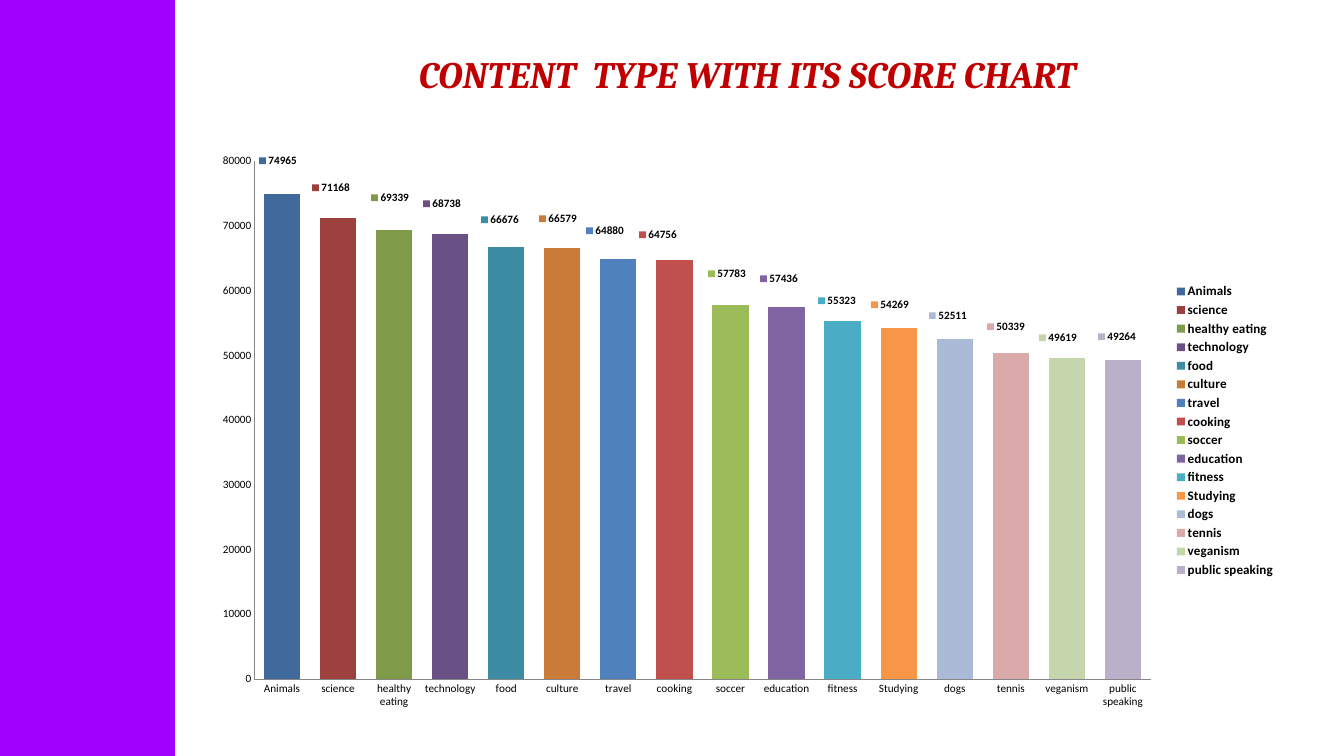
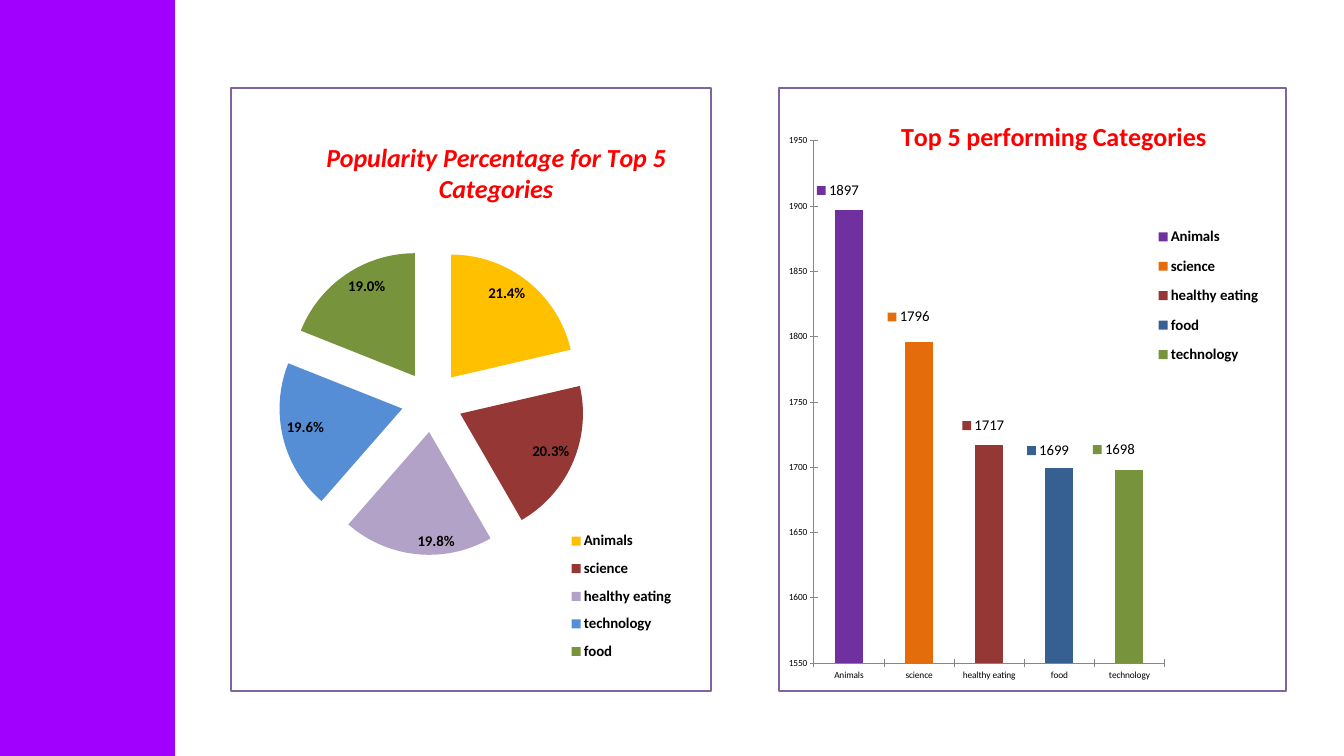
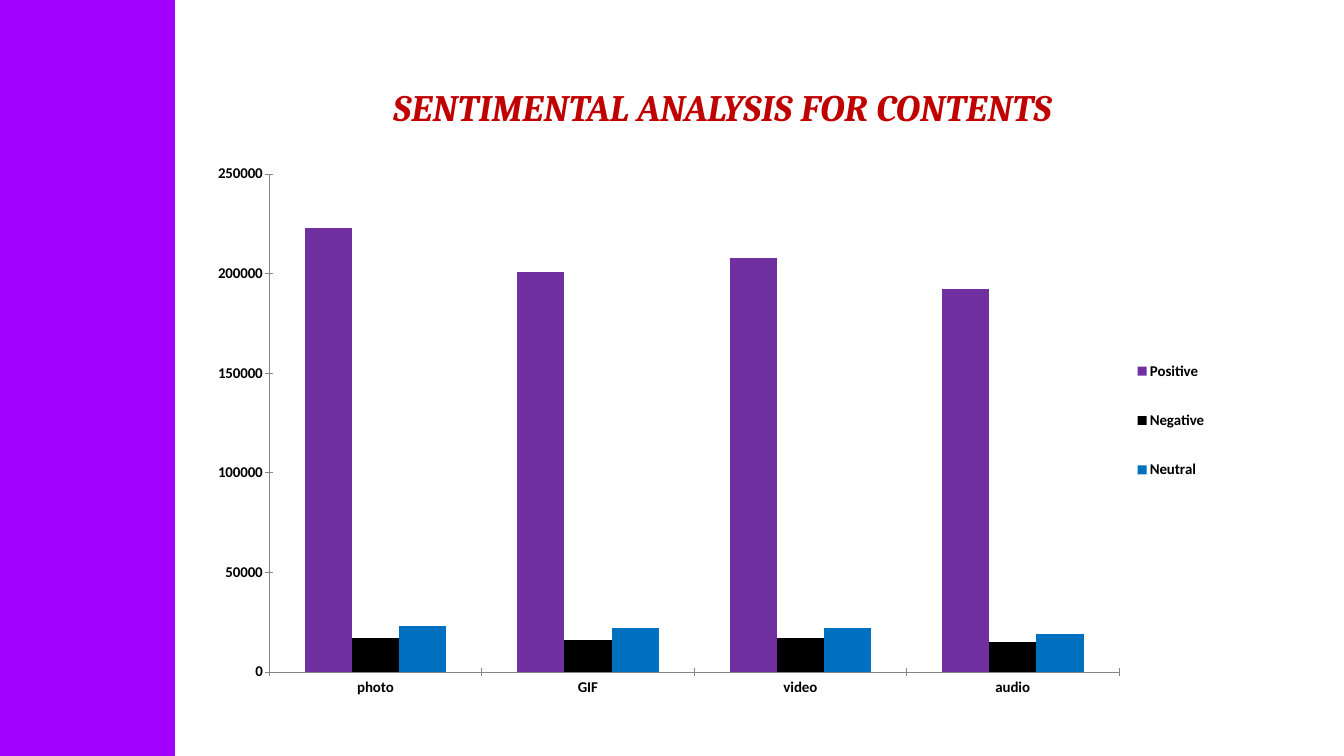
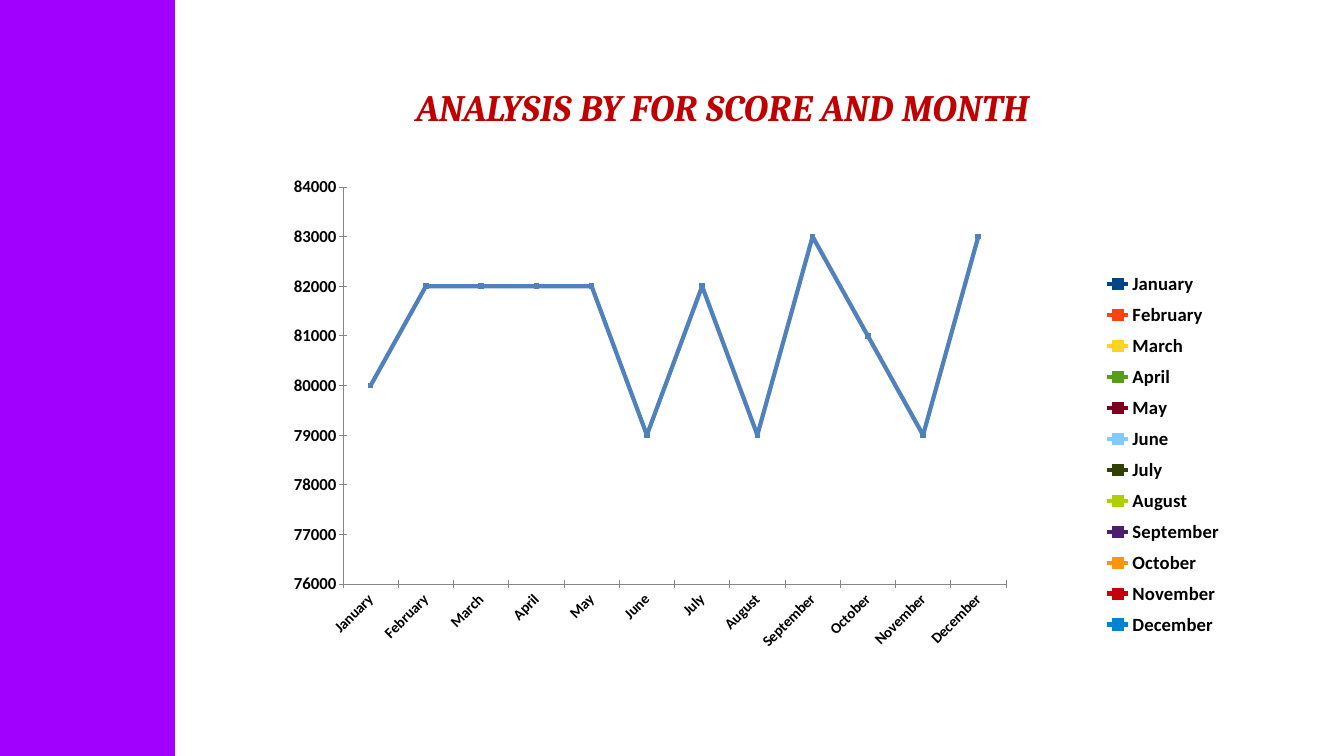
from dataclasses import dataclass

from lxml.etree import SubElement
from pptx import Presentation
from pptx.chart.data import CategoryChartData
from pptx.dml.color import RGBColor
from pptx.enum.chart import (XL_CHART_TYPE, XL_LABEL_POSITION, XL_LEGEND_POSITION,
                             XL_MARKER_STYLE, XL_TICK_MARK)
from pptx.enum.shapes import MSO_SHAPE
from pptx.enum.text import MSO_AUTO_SIZE, PP_ALIGN
from pptx.oxml.ns import qn
from pptx.util import Emu, Pt


@dataclass(frozen=True)
class Theme:
    """Colours, fonts and sizes shared by every slide."""
    band: str = "A100FF"
    heading: str = "C00000"
    chart_title: str = "FF0000"
    text: str = "000000"
    paper: str = "FFFFFF"
    border: str = "8064A2"
    axis: str = "868686"
    heading_font: str = "Cambria"
    chart_font: str = "Calibri"
    heading_size: int = 40
    chart_title_size: int = 28
    border_width: int = 2
    trend_width: float = 4.5


THEME = Theme()
EMU_PER_PX = 914400 / 67.2
SLIDE_SIZE = (1344, 756)
BAND = (0, 0, 175, 756)
UPPER_HEADING = (263, 48, 969, 52)
LOWER_HEADING = (269, 81, 907, 52)

SCORES = [
    ("Animals", 74965, "416A9C", (278, 161)),
    ("science", 71168, "9E413E", (331, 188)),
    ("healthy eating", 69339, "7F9A48", (390, 198)),
    ("technology", 68738, "695185", (442, 204)),
    ("food", 66676, "3C8DA3", (500, 220)),
    ("culture", 66579, "CB7B38", (558, 219)),
    ("travel", 64880, "4F81BD", (605, 231)),
    ("cooking", 64756, "C0504D", (658, 235)),
    ("soccer", 57783, "9BBB59", (727, 274)),
    ("education", 57436, "8064A2", (779, 279)),
    ("fitness", 55323, "4BACC6", (837, 301)),
    ("Studying", 54269, "F79646", (890, 305)),
    ("dogs", 52511, "AABAD7", (948, 316)),
    ("tennis", 50339, "D9AAA9", (1006, 327)),
    ("veganism", 49619, "C6D6AC", (1058, 338)),
    ("public speaking", 49264, "BAB0C9", (1117, 337)),
]
SHARES = [
    ("Animals", 21.4, "FFC000"),
    ("science", 20.3, "953735"),
    ("healthy eating", 19.8, "B3A2C7"),
    ("technology", 19.6, "558ED5"),
    ("food", 19, "77933C"),
]
TOP_FIVE = [
    ("Animals", 1897, "7030A0", (837, 191)),
    ("science", 1796, "E46C0A", (908, 318)),
    ("healthy eating", 1717, "953735", (983, 427)),
    ("food", 1699, "376092", (1048, 452)),
    ("technology", 1698, "77933C", (1114, 451)),
]
FORMATS = ["photo", "GIF", "video", "audio"]
SENTIMENTS = [
    ("Positive", [223000, 201000, 208000, 192000], "7030A0"),
    ("Negative", [17000, 16000, 17000, 15000], "000000"),
    ("Neutral", [23000, 22000, 22000, 19000], "0070C0"),
]
MONTHS = [
    ("January", 80000), ("February", 82000), ("March", 82000), ("April", 82000),
    ("May", 82000), ("June", 79000), ("July", 82000), ("August", 79000),
    ("September", 83000), ("October", 81000), ("November", 79000), ("December", 83000),
]
TREND_COLOUR = "4F81BD"


def px(length):
    """Turn a length in px into EMU."""
    return Emu(round(length * EMU_PER_PX))


def rgb(colour):
    """Turn a hex string into a colour."""
    return RGBColor.from_string(colour)


def style(font, size, bold=None, italic=None, colour=THEME.text, name=THEME.chart_font):
    """Set every property of a font."""
    font.size, font.bold, font.italic, font.name = Pt(size), bold, italic, name
    font.color.rgb = rgb(colour)


def paint(part, colour):
    """Fill a part of a chart or a shape."""
    part.fill.solid()
    part.fill.fore_color.rgb = rgb(colour)


def add_slide(deck, heading=None, box=LOWER_HEADING):
    """Add a slide with the side band and an optional heading."""
    slide = deck.slides.add_slide(deck.slide_layouts[6])
    band = slide.shapes.add_shape(MSO_SHAPE.RECTANGLE, *map(px, BAND))
    band.shadow.inherit = False
    paint(band, THEME.band)
    band.line.fill.background()
    if heading:
        frame = slide.shapes.add_textbox(*map(px, box)).text_frame
        frame.word_wrap = True
        frame.auto_size = MSO_AUTO_SIZE.SHAPE_TO_FIT_TEXT
        paragraph = frame.paragraphs[0]
        paragraph.alignment = PP_ALIGN.CENTER
        run = paragraph.add_run()
        run.text = heading
        style(run.font, THEME.heading_size, True, True, THEME.heading, THEME.heading_font)
    return slide


def set_layout(element, index, settings):
    """Give a chart element a manual layout."""
    for stale in element.findall(qn("c:layout")):
        element.remove(stale)
    layout = element.makeelement(qn("c:layout"))
    element.insert(index, layout)
    manual = SubElement(layout, qn("c:manualLayout"))
    for tag, value in settings.items():
        SubElement(manual, qn(f"c:{tag}")).set("val", str(value))


def place(element, index, box, area, inner=False):
    """Place a chart element at a box in px on the slide."""
    left, top, width, height = area
    settings = {"layoutTarget": "inner"} if inner else {}
    settings |= {"xMode": "edge", "yMode": "edge",
                 "x": round((box[0] - left) / width, 4),
                 "y": round((box[1] - top) / height, 4)}
    if len(box) == 4:
        settings |= {"w": round(box[2] / width, 4), "h": round(box[3] / height, 4)}
    set_layout(element, index, settings)


def frame_chart(chart, fill, border):
    """Set the background and border of the chart area."""
    space = chart._chartSpace
    properties = space.makeelement(qn("c:spPr"))
    space.find(qn("c:chart")).addnext(properties)

    def add_colour(parent, colour):
        """Add a solid fill, or none."""
        if colour:
            solid = SubElement(parent, qn("a:solidFill"))
            SubElement(solid, qn("a:srgbClr")).set("val", colour)
        else:
            SubElement(parent, qn("a:noFill"))

    add_colour(properties, fill)
    line = SubElement(properties, qn("a:ln"))
    line.set("w", str(Pt(THEME.border_width)))
    add_colour(line, border)


def add_chart(slide, kind, area, plot_box, legend_box, categories, series, size,
              legend_size, bold=None, vary=True, fill=None, border=None):
    """Add a chart with its font, legend, plot area and background."""
    data = CategoryChartData()
    data.categories = categories
    for name, values in series:
        data.add_series(name, values)
    chart = slide.shapes.add_chart(kind, *map(px, area), data).chart
    chart.has_title = False
    style(chart.font, size, bold)
    chart.has_legend = True
    chart.legend.position = XL_LEGEND_POSITION.RIGHT
    chart.legend.include_in_layout = False
    style(chart.legend.font, legend_size, True)
    place(chart.legend._element, 1, legend_box, area)
    place(chart._chartSpace.chart.plotArea, 0, plot_box, area, inner=True)
    chart.plots[0].vary_by_categories = vary
    frame_chart(chart, fill, border)
    return chart


def add_title(chart, title, corner, area, italic=None):
    """Add a chart title with its top left corner at a point."""
    chart.has_title = True
    run = chart.chart_title.text_frame.paragraphs[0].add_run()
    run.text = title
    style(run.font, THEME.chart_title_size, True, italic, THEME.chart_title)
    place(chart.chart_title._element, 1, corner, area)


def style_axes(chart, scale, tick, category_size, value_size, bold=None):
    """Set scale, ticks, lines and fonts of both axes."""
    values = chart.value_axis
    values.minimum_scale, values.maximum_scale, values.major_unit = scale
    values.has_major_gridlines = False
    for axis, size in ((chart.category_axis, category_size), (values, value_size)):
        axis.major_tick_mark = tick
        axis.minor_tick_mark = XL_TICK_MARK.NONE
        axis.format.line.color.rgb = rgb(THEME.axis)
        style(axis.tick_labels.font, size, bold)


def paint_points(series, colours):
    """Colour each point of a series."""
    for index, colour in enumerate(colours):
        paint(series.points[index].format, colour)


def add_ranking(slide, rows, area, plot_box, legend_box, scale, tick, gap, size,
                legend_size, label_size, label_bold=None, **background):
    """Add a one-series column chart with keyed labels set above the bars."""
    categories, values, colours, centres = zip(*rows)
    chart = add_chart(slide, XL_CHART_TYPE.COLUMN_STACKED, area, plot_box, legend_box,
                      categories, [("Series 1", values)], size, legend_size, **background)
    style_axes(chart, scale, tick, size, size)
    plot = chart.plots[0]
    plot.gap_width, plot.overlap = gap, 100
    ranking = plot.series[0]
    paint_points(ranking, colours)
    for index in range(len(rows)):
        label = ranking.points[index].data_label
        style(label.font, label_size, label_bold)
        label.position = XL_LABEL_POSITION.INSIDE_END

    left, top, width, height = plot_box
    low, high, _ = scale
    for index, label in enumerate(ranking._element.iter(qn("c:dLbl"))):
        bar_middle = left + width * (index + 0.5) / len(rows)
        bar_top = top + height * (high - values[index]) / (high - low)
        x, y = centres[index]
        set_layout(label, 1, {"x": round((x - bar_middle) / area[2], 4),
                              "y": round((y - bar_top - label_size * 0.8) / area[3], 4)})
    for key in ranking._element.iter(qn("c:showLegendKey")):
        key.set("val", "1")
    for leader in ranking._element.iter(qn("c:showLeaderLines")):
        leader.set("val", "0")
    return chart


def build_scores(deck):
    """Build the slide of scores by content type."""
    slide = add_slide(deck, "CONTENT  TYPE WITH ITS SCORE CHART", UPPER_HEADING)
    add_ranking(slide, SCORES, (202, 142, 1081, 577), (254, 161, 897, 518),
                (1170, 281, 110, 300), (0, 80000, 10000), XL_TICK_MARK.NONE,
                gap=55, size=12, legend_size=14, label_size=12, label_bold=True)


def build_top_five(deck):
    """Build the slide of the five leading categories."""
    slide = add_slide(deck)
    background = {"fill": THEME.paper, "border": THEME.border}
    share_area, top_area = (230, 87, 482, 605), (778, 87, 509, 605)
    categories, values, colours = zip(*SHARES)
    shares = add_chart(slide, XL_CHART_TYPE.PIE, share_area, (278, 226, 308, 351),
                       (565, 523, 114, 148), categories, [("Series 1", values)],
                       10, 16, **background)
    add_title(shares, "Popularity Percentage for Top 5 Categories", (321, 134),
              share_area, italic=True)
    slices = shares.plots[0].series[0]
    paint_points(slices, colours)
    explosion = slices._element.makeelement(qn("c:explosion"), {"val": "25"})
    slices._element.find(qn("c:dPt")).addprevious(explosion)
    labels = slices.data_labels
    labels.show_percentage, labels.show_value = True, False
    labels.number_format, labels.number_format_is_linked = "0.0%", False
    labels.position = XL_LABEL_POSITION.INSIDE_END
    style(labels.font, 16, True)

    top = add_ranking(slide, TOP_FIVE, top_area, (813, 140, 352, 524),
                      (1152, 216, 114, 159), (1550, 1950, 50), XL_TICK_MARK.CROSS,
                      gap=150, size=10, legend_size=16, label_size=16, **background)
    add_title(top, "Top 5 performing Categories", (896, 113), top_area)


def build_sentiment(deck):
    """Build the slide of sentiment by format."""
    slide = add_slide(deck, "SENTIMENTAL ANALYSIS FOR CONTENTS")
    chart = add_chart(slide, XL_CHART_TYPE.COLUMN_CLUSTERED, (218, 160, 1013, 543),
                      (269, 174, 850, 498), (1130, 331, 82, 179), FORMATS,
                      [(name, values) for name, values, _ in SENTIMENTS],
                      16, 16, bold=True, vary=False, fill=THEME.paper)
    style_axes(chart, (0, 250000, 50000), XL_TICK_MARK.CROSS, 16, 16, True)
    chart.plots[0].gap_width = 150
    for sentiment, (_, _, colour) in zip(chart.plots[0].series, SENTIMENTS):
        paint(sentiment.format, colour)


def build_months(deck):
    """Build the slide of scores by month."""
    slide = add_slide(deck, "ANALYSIS BY FOR SCORE AND MONTH")
    months, scores = zip(*MONTHS)
    chart = add_chart(slide, XL_CHART_TYPE.LINE_MARKERS, (213, 171, 1053, 566),
                      (343, 187, 663, 397), (1100, 265, 126, 379), months,
                      [("Score by Month", scores)], 10, 20)
    style_axes(chart, (76000, 84000, 1000), XL_TICK_MARK.CROSS, 16, 18, True)
    month_text = chart.category_axis._element.find(qn("c:txPr"))
    month_text.find(qn("a:bodyPr")).set("rot", "-2700000")
    trend = chart.plots[0].series[0]
    trend.smooth = False
    trend.format.line.color.rgb = rgb(TREND_COLOUR)
    trend.format.line.width = Pt(THEME.trend_width)
    trend.marker.style, trend.marker.size = XL_MARKER_STYLE.SQUARE, 5
    paint(trend.marker.format, TREND_COLOUR)
    trend.marker.format.line.color.rgb = rgb(TREND_COLOUR)


def main():
    """Build and save the deck."""
    deck = Presentation()
    deck.slide_width, deck.slide_height = map(px, SLIDE_SIZE)
    for build in (build_scores, build_top_five, build_sentiment, build_months):
        build(deck)
    deck.save("out.pptx")


if __name__ == "__main__":
    main()
